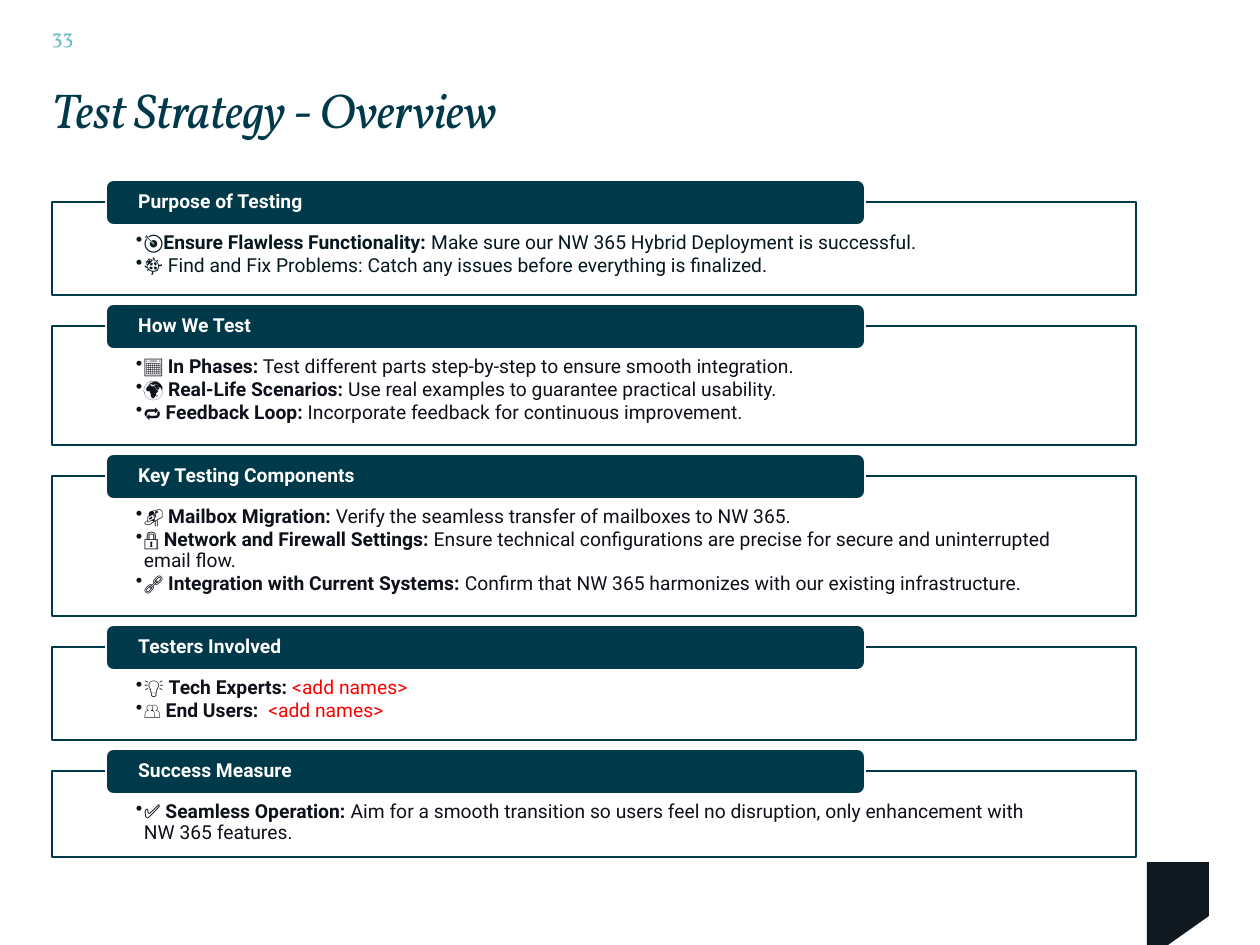
from dataclasses import dataclass

from lxml import etree
from pptx import Presentation
from pptx import util as u
from pptx.dml.color import RGBColor
from pptx.enum import shapes, text
from pptx.oxml import ns

EMU_PER_PX = 914400 / 126


@dataclass(frozen=True)
class Theme:
    """Colours, fonts and type sizes of the slide."""

    teal: str = "00394A"
    sky: str = "6BB9C9"
    white: str = "FFFFFF"
    navy: str = "06171F"
    ink: str = "0E101A"
    red: str = "FF0000"
    badge: str = "101820"
    serif: str = "Vollkorn"
    sans: str = "Roboto"
    title_size: int = 28
    number_size: int = 12
    text_size: int = 11


THEME = Theme()

SECTIONS = [
    ("Purpose of Testing", 93, THEME.navy, [
        [("🎯", ""), ("Ensure Flawless Functionality: ", "b"),
         ("Make sure our NW 365 Hybrid Deployment is successful.", "")],
        [("🐞 Find and Fix Problems: Catch any issues before everything is finalized.", "")],
    ]),
    ("How We Test", 119, THEME.ink, [
        [("📅 ", ""), ("In Phases:", "b"),
         (" Test different parts step-by-step to ensure smooth integration.", "")],
        [("🌍 ", ""), ("Real-Life Scenarios:", "b"),
         (" Use real examples to guarantee practical usability.", "")],
        [("🔁 ", ""), ("Feedback Loop:", "b"),
         (" Incorporate feedback for continuous improvement.", "")],
    ]),
    ("Key Testing Components", 140, THEME.ink, [
        [("📬 ", ""), ("Mailbox Migration:", "b"),
         (" Verify the seamless transfer of mailboxes to NW 365.", "")],
        [("🔒 ", ""), ("Network and Firewall Settings:", "b"),
         (" Ensure technical configurations are precise for secure and uninterrupted email flow.", "")],
        [("🔗 ", ""), ("Integration with Current Systems:", "b"),
         (" Confirm that NW 365 harmonizes with our existing infrastructure.", "")],
    ]),
    ("Testers Involved", 93, THEME.ink, [
        [("💡 ", ""), ("Tech Experts: ", "b"), ("<add names>", "r")],
        [("👥 ", ""), ("End Users: ", "b"), (" <add names>", "r")],
    ]),
    ("Success Measure", 86, THEME.ink, [
        [("✅ ", ""), ("Seamless Operation:", "b"),
         (" Aim for a smooth transition so users feel no disruption, only enhancement with "
          "NW 365 features.", "")],
    ]),
]


def px(length):
    """Turn pixels into EMU."""
    return u.Emu(round(length * EMU_PER_PX))


def place(shape, left, top, width, height):
    """Move and size a shape in pixels."""
    shape.left, shape.top = px(left), px(top)
    shape.width, shape.height = px(width), px(height)


def set_frame(shape, anchor, left=0, top=0, right=0, bottom=0):
    """Set wrapping, anchor and insets, and return the text frame."""
    frame = shape.text_frame
    frame.auto_size = text.MSO_AUTO_SIZE.NONE
    frame.word_wrap = True
    frame.vertical_anchor = anchor
    frame.margin_left, frame.margin_top = px(left), px(top)
    frame.margin_right, frame.margin_bottom = px(right), px(bottom)
    return frame


def add_run(paragraph, words, font, size, color, bold=False, italic=False):
    """Add one formatted run to a paragraph."""
    run = paragraph.add_run()
    run.text = words
    run.font.name, run.font.size = font, u.Pt(size)
    run.font.bold, run.font.italic = bold, italic
    run.font.color.rgb = RGBColor.from_string(color)
    return run


def add_box(slide, kind, box, fill, line):
    """Add a filled and outlined preset shape."""
    shape = slide.shapes.add_shape(kind, 0, 0, 0, 0)
    place(shape, *box)
    shape.shadow.inherit = False
    shape.fill.solid()
    shape.fill.fore_color.rgb = RGBColor.from_string(fill)
    shape.line.color.rgb = RGBColor.from_string(line)
    shape.line.width = u.Pt(1)
    return shape


def set_bullet(paragraph):
    """Give a paragraph a round bullet with a hanging indent."""
    properties = paragraph._p.get_or_add_pPr()
    properties.set("marL", str(px(8)))
    properties.set("indent", str(-px(8)))
    etree.SubElement(properties, ns.qn("a:buChar"), char="•")


def add_header(slide, left, top, width, height):
    """Place the page number and the title."""
    number = slide.shapes.add_textbox(0, 0, 0, 0)
    place(number, left - 9, top, 76, 50)
    frame = set_frame(number, text.MSO_ANCHOR.MIDDLE, 9, 5, 9, 5)
    add_run(frame.paragraphs[0], "33", THEME.serif, THEME.number_size, THEME.sky)

    title = slide.shapes.title
    place(title, left, top + 77, width, height - 77)
    paragraph = set_frame(title, text.MSO_ANCHOR.TOP).paragraphs[0]
    paragraph.alignment = text.PP_ALIGN.LEFT
    paragraph.line_spacing = 0.86
    run = add_run(paragraph, "Test Strategy - Overview", THEME.serif,
                  THEME.title_size, THEME.teal, italic=True)
    run._r.get_or_add_rPr().set("spc", "-30")


def add_section(slide, left, top, width, height, heading, color, items):
    """Place an outlined list with its heading tab on the top edge."""
    panel = add_box(slide, shapes.MSO_SHAPE.RECTANGLE, (left, top, width, height),
                    THEME.white, THEME.teal)
    fill_color = panel._element.spPr.find(".//" + ns.qn("a:srgbClr"))
    etree.SubElement(fill_color, ns.qn("a:alpha"), val="90000")
    frame = set_frame(panel, text.MSO_ANCHOR.TOP, 84, 31, 84, 11)
    for index, item in enumerate(items):
        paragraph = frame.add_paragraph() if index else frame.paragraphs[0]
        set_bullet(paragraph)
        paragraph.level = 1
        paragraph.alignment = text.PP_ALIGN.LEFT
        paragraph.line_spacing = 0.9
        paragraph.space_after = u.Pt(1.2)
        for words, style in item:
            add_run(paragraph, words, THEME.sans, THEME.text_size,
                    THEME.red if style == "r" else color, bold=style == "b")

    tab = add_box(slide, shapes.MSO_SHAPE.ROUNDED_RECTANGLE,
                  (left + 54, top - 22, 759, 45), THEME.teal, THEME.white)
    paragraph = set_frame(tab, text.MSO_ANCHOR.MIDDLE, 30, 0, 30).paragraphs[0]
    paragraph.alignment = text.PP_ALIGN.LEFT
    paragraph.line_spacing = 0.9
    add_run(paragraph, heading, THEME.sans, THEME.text_size, THEME.white, bold=True)


def add_sections(slide, left, top, width, gap):
    """Stack all sections with equal gaps."""
    for heading, height, color, items in SECTIONS:
        add_section(slide, left, top, width, height, heading, color, items)
        top += height + gap


def add_badge(slide, left, top, width, height):
    """Place the plain corner badge."""
    builder = slide.shapes.build_freeform(left, top, scale=EMU_PER_PX)
    builder.add_line_segments([
        (left + width, top), (left + width, top + height - 29),
        (left + 21, top + height), (left, top + height),
    ])
    badge = builder.convert_to_shape()
    badge.shadow.inherit = False
    badge.fill.solid()
    badge.fill.fore_color.rgb = RGBColor.from_string(THEME.badge)
    badge.line.fill.background()


def main():
    """Build and save the slide."""
    presentation = Presentation()
    presentation.slide_width, presentation.slide_height = px(1260), px(945)
    slide = presentation.slides.add_slide(presentation.slide_layouts[5])
    add_badge(slide, 1147, 862, 62, 83)
    add_header(slide, 52, 11, 496, 143)
    add_sections(slide, 52, 202, 1084, 31)
    presentation.save("out.pptx")


if __name__ == "__main__":
    main()
